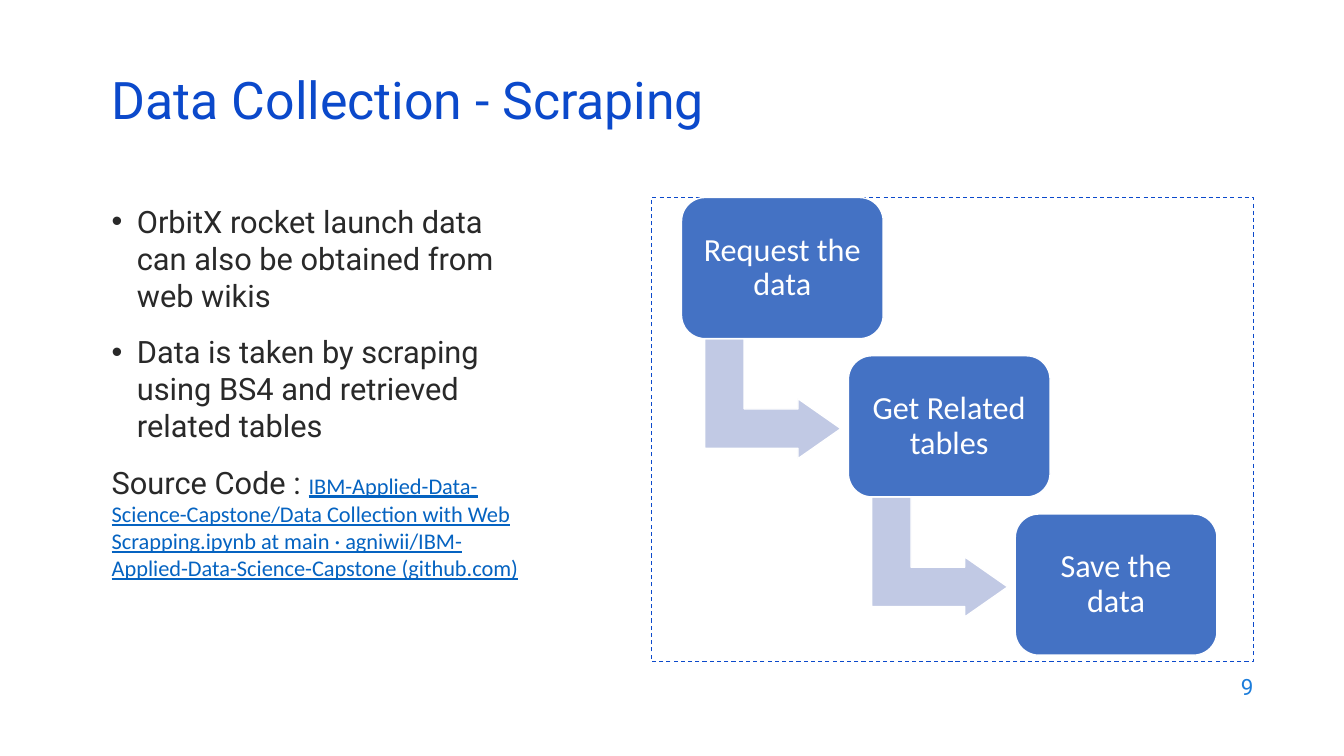
"""Build the slide on collecting launch data by web scraping."""
from lxml import etree
from pptx import Presentation
from pptx.dml.color import RGBColor
from pptx.enum import dml, shapes, text
from pptx.oxml import ns
from pptx.util import Inches, Pt

TITLE_BLUE = RGBColor(0x0B, 0x49, 0xCB)
NUMBER_BLUE = RGBColor(0x1C, 0x7D, 0xDB)
LINK_BLUE = RGBColor(0x05, 0x63, 0xC1)
STEP_BLUE = RGBColor(0x44, 0x72, 0xC4)
ARROW_BLUE = RGBColor(0xC1, 0xC9, 0xE4)
INK = RGBColor(0x29, 0x29, 0x29)
WHITE = RGBColor(0xFF, 0xFF, 0xFF)


def write(paragraph, words, size=22, font="Roboto", color=INK, underline=None,
          align=text.PP_ALIGN.LEFT, spacing=1.0):
    paragraph.alignment = align
    paragraph.line_spacing = spacing
    run = paragraph.add_run()
    run.text = words
    run.font.size = Pt(size)
    run.font.name = font
    run.font.color.rgb = color
    run.font.underline = underline


def add_block(kind, left, top, width, height, fill):
    block = slide.shapes.add_shape(
        kind, Inches(left), Inches(top), Inches(width), Inches(height))
    block.shadow.inherit = False
    block.fill.solid()
    block.fill.fore_color.rgb = fill
    block.line.color.rgb = WHITE
    block.line.width = Pt(1)
    return block


prs = Presentation()
prs.slide_width, prs.slide_height = Inches(13.33), Inches(7.5)
slide = prs.slides.add_slide(prs.slide_layouts[5])

heading = slide.shapes.title
heading.left, heading.top = Inches(1.01), Inches(0.76)
heading.width, heading.height = Inches(11.5), Inches(0.6)
heading.text_frame.vertical_anchor = text.MSO_ANCHOR.MIDDLE
write(heading.text_frame.paragraphs[0], "Data Collection - Scraping",
      size=37, color=TITLE_BLUE, spacing=0.7)

page_number = slide.shapes.add_textbox(Inches(9.53), Inches(6.59), Inches(3), Inches(0.44))
page_number.text_frame.word_wrap = True
page_number.text_frame.vertical_anchor = text.MSO_ANCHOR.MIDDLE
write(page_number.text_frame.paragraphs[0], "9", size=16, color=NUMBER_BLUE,
      align=text.PP_ALIGN.RIGHT)

notes = slide.shapes.add_textbox(Inches(1.01), Inches(1.96), Inches(4.3), Inches(4.17)).text_frame
notes.word_wrap = True
findings = ["OrbitX rocket launch data can also be obtained from web wikis",
            "Data is taken by scraping using BS4 and retrieved related tables"]
for index, finding in enumerate(findings):
    point = notes.add_paragraph() if index else notes.paragraphs[0]
    indent = point._p.get_or_add_pPr()
    indent.set("marL", str(Inches(0.25)))
    indent.set("indent", str(-Inches(0.25)))
    etree.SubElement(indent, ns.qn("a:buFont")).set("typeface", "Arial")
    etree.SubElement(indent, ns.qn("a:buChar")).set("char", "•")
    point.space_before = Pt(14 if index else 0)
    write(point, finding)
source_code = notes.add_paragraph()
source_code.space_before = Pt(14)
write(source_code, "Source Code : ")
write(source_code,
      "IBM-Applied-Data-Science-Capstone/Data Collection with Web Scrapping.ipynb"
      " at main · agniwii/IBM-Applied-Data-Science-Capstone (github.com)",
      size=16, font="Calibri", color=LINK_BLUE, underline=True)

frame = add_block(shapes.MSO_SHAPE.RECTANGLE, 6.46, 1.96, 5.97, 4.6, WHITE)
frame.fill.background()
frame.line.color.rgb = TITLE_BLUE
frame.line.width = Pt(0.75)
frame.line.dash_style = dml.MSO_LINE.DASH

steps = ["Request the data", "Get Related tables", "Save the data"]
for index, step in enumerate(steps):
    left, top = 6.76 + 1.655 * index, 1.96 + 1.57 * index
    if index < len(steps) - 1:
        arrow = add_block(shapes.MSO_SHAPE.BENT_UP_ARROW, left + 0.31, top + 1.32,
                          1.19, 1.35, ARROW_BLUE)
        arrow.rotation = 90
        for position, ratio in enumerate((0.328, 0.25, 0.358)):
            arrow.adjustments[position] = ratio
    box = add_block(shapes.MSO_SHAPE.ROUNDED_RECTANGLE, left, top, 2, 1.4, STEP_BLUE)
    label = box.text_frame
    label.word_wrap = True
    label.vertical_anchor = text.MSO_ANCHOR.MIDDLE
    label.margin_left = label.margin_right = Inches(0.1)
    label.margin_top = label.margin_bottom = Inches(0.1)
    write(label.paragraphs[0], step, size=23, font="Calibri", color=WHITE,
          align=text.PP_ALIGN.CENTER, spacing=0.9)

prs.save("out.pptx")
